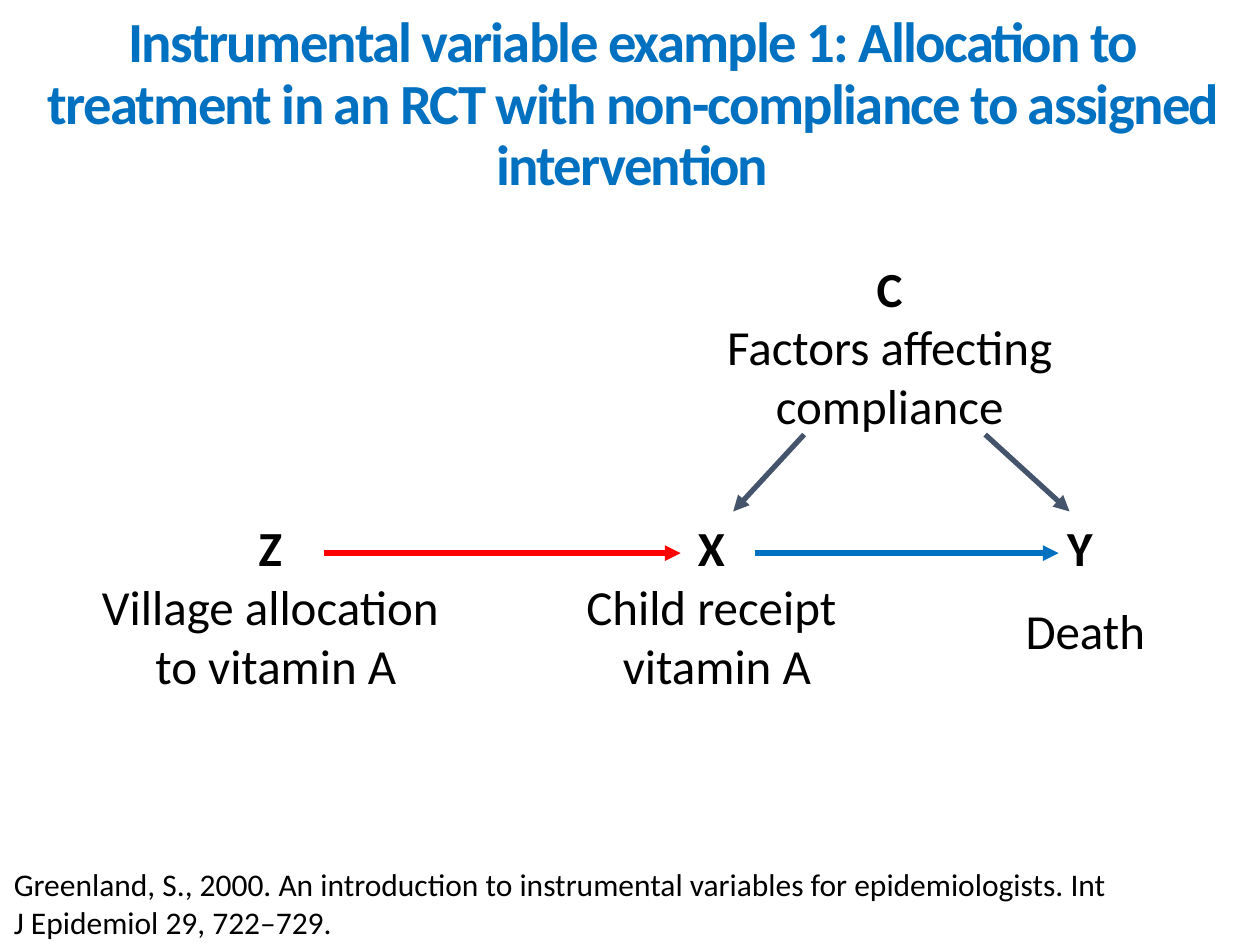
from dataclasses import dataclass

from lxml import etree
from pptx import Presentation
from pptx.dml.color import RGBColor
from pptx.enum.shapes import MSO_CONNECTOR
from pptx.enum.text import MSO_ANCHOR, PP_ALIGN
from pptx.oxml.ns import qn
from pptx.util import Cm, Pt

STRAIGHT = MSO_CONNECTOR.STRAIGHT
CENTER, LEFT = PP_ALIGN.CENTER, PP_ALIGN.LEFT
MIDDLE, TOP = MSO_ANCHOR.MIDDLE, MSO_ANCHOR.TOP


@dataclass(frozen=True)
class Theme:
    font: str = "Calibri"
    title_size: float = 32.4
    node_size: float = 28
    source_size: float = 18
    arrow_width: float = 3
    black: RGBColor = RGBColor(0x00, 0x00, 0x00)
    blue: RGBColor = RGBColor(0x00, 0x70, 0xC0)
    red: RGBColor = RGBColor(0xFF, 0x00, 0x00)
    slate: RGBColor = RGBColor(0x44, 0x54, 0x6A)


THEME = Theme()


@dataclass(frozen=True)
class Node:
    """A variable of the diagram: bold letter above its description (cm)."""
    left: float
    top: float
    width: float
    height: float
    paragraphs: tuple[str, ...]
    gap: float = 0


@dataclass(frozen=True)
class Arrow:
    """A causal effect, from start to end (cm)."""
    start: tuple[float, float]
    end: tuple[float, float]
    color: RGBColor


ROW_TOP = 10.31
ROW_ARROW = 11.15
NODES = (
    Node(0.38, ROW_TOP, 10.36, 3.84, ("Z ", "Village allocation ", "to vitamin A")),
    Node(10.54, ROW_TOP, 7.82, 3.84, ("X ", "Child receipt ", "vitamin A")),
    Node(19.02, ROW_TOP, 5.72, 3.23, ("Y ", "Death"), gap=14),
    Node(13.49, 5.08, 8.89, 3.84, ("C\vFactors affecting compliance",)),
)

FORK_TOP, FORK_BOTTOM = 8.76, 10.31
ARROWS = (
    Arrow((6.53, ROW_ARROW), (13.72, ROW_ARROW), THEME.red),
    Arrow((15.21, ROW_ARROW), (21.34, ROW_ARROW), THEME.blue),
    Arrow((16.21, FORK_TOP), (14.78, FORK_BOTTOM), THEME.slate),
    Arrow((19.86, FORK_TOP), (21.56, FORK_BOTTOM), THEME.slate),
)


def add_text(page, left: float, top: float, width: float, height: float,
             paragraphs: tuple[str, ...], size: float, color: RGBColor = THEME.black,
             align=CENTER, anchor=TOP):
    box = page.shapes.add_textbox(Cm(left), Cm(top), Cm(width), Cm(height))
    frame = box.text_frame
    frame.word_wrap = True
    frame.vertical_anchor = anchor
    frame.text = "\n".join(paragraphs)
    for para in frame.paragraphs:
        para.alignment = align
        for span in para.runs:
            span.font.name = THEME.font
            span.font.size = Pt(size)
            span.font.color.rgb = color
            span.font.bold = False
    return frame


def add_node(page, node: Node) -> None:
    frame = add_text(page, node.left, node.top, node.width, node.height,
                     node.paragraphs, THEME.node_size)
    frame.paragraphs[0].runs[0].font.bold = True
    for para in frame.paragraphs[1:]:
        para.space_before = Pt(node.gap)


def add_arrow(page, arrow: Arrow) -> None:
    (start_x, start_y), (end_x, end_y) = arrow.start, arrow.end
    connector = page.shapes.add_connector(
        STRAIGHT, Cm(start_x), Cm(start_y), Cm(end_x), Cm(end_y))
    connector.line.color.rgb = arrow.color
    connector.line.width = Pt(THEME.arrow_width)
    properties = connector.line._get_or_add_ln()
    etree.SubElement(properties, qn("a:tailEnd"), type="triangle")
    etree.SubElement(connector._element.spPr, qn("a:effectLst"))


def main() -> None:
    deck = Presentation()
    deck.slide_width, deck.slide_height = Cm(25.4), Cm(19.05)
    page = deck.slides.add_slide(deck.slide_layouts[6])

    # Causal diagram
    for node in NODES:
        add_node(page, node)
    for arrow in ARROWS:
        add_arrow(page, arrow)

    # Reference
    add_text(page, 0.03, 17.32, 22.63, 1.8,
             ("Greenland, S., 2000. An introduction to instrumental variables for "
              "epidemiologists. Int J Epidemiol 29, 722–729.",),
             THEME.source_size, align=LEFT)

    # Title, with tightened letter and line spacing
    title = add_text(page, 0.38, 0.76, 24.74, 2.74,
                     ("Instrumental variable example 1: Allocation to treatment in an RCT "
                      "with non-compliance to assigned intervention",),
                     THEME.title_size, THEME.blue, anchor=MIDDLE)
    para = title.paragraphs[0]
    para.line_spacing = 0.9
    para.runs[0].font.bold = True
    para.runs[0].font._element.set("spc", "-100")

    deck.save("out.pptx")


if __name__ == "__main__":
    main()
